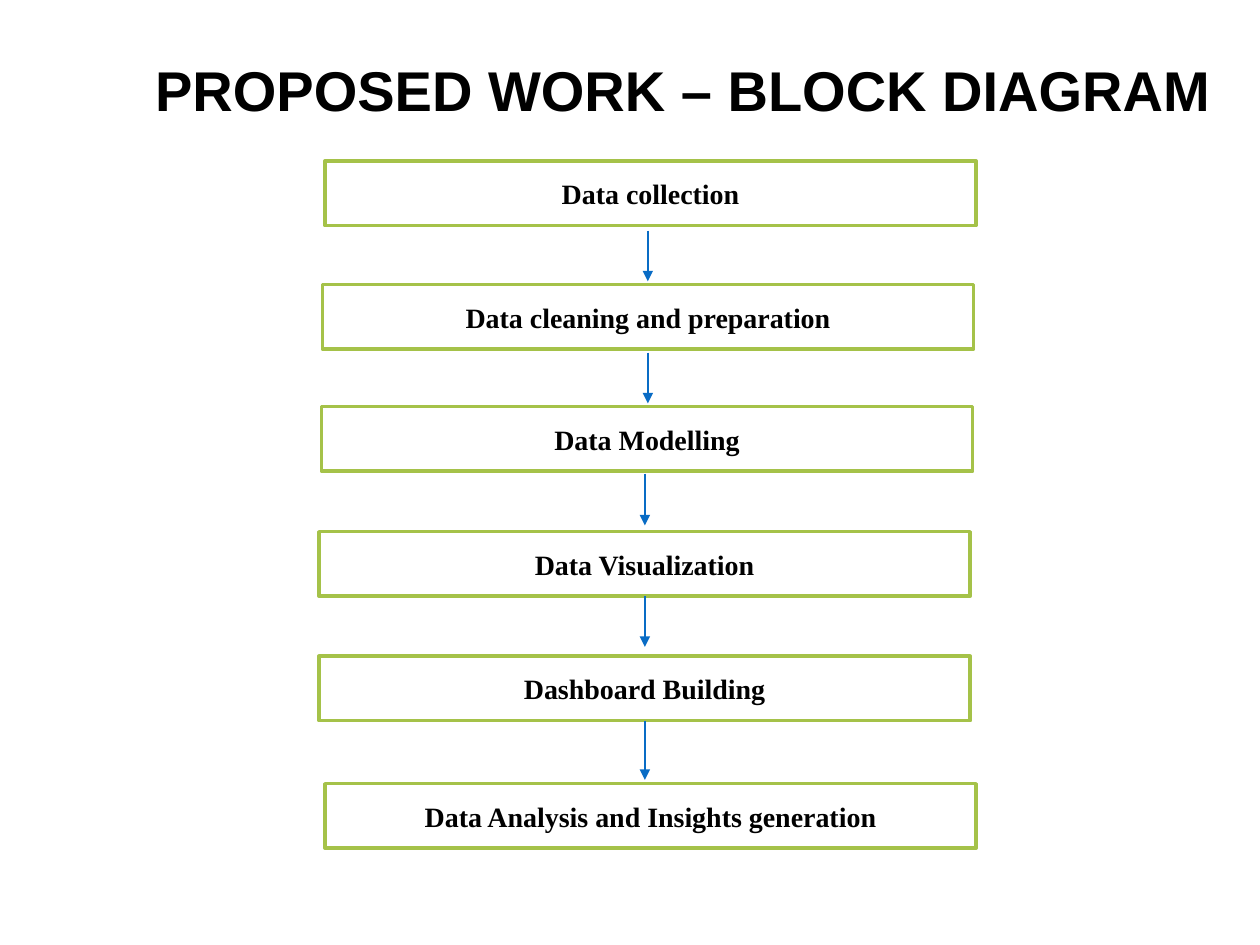
import pptx
import pptx.util
import pptx.dml.color
import pptx.enum.shapes
import pptx.enum.text
import lxml.etree
from pptx.oxml.ns import qn

Cm, Pt = pptx.util.Cm, pptx.util.Pt
ANCHOR = pptx.enum.text.MSO_ANCHOR

TITLE = "PROPOSED WORK – BLOCK DIAGRAM"
# Step text, left and top of its box, in cm
STEPS = [
    ("Data collection", 6.55, 3.25),
    ("Data cleaning and preparation", 6.5, 5.74),
    ("Data Modelling", 6.48, 8.2),
    ("Data Visualization", 6.43, 10.72),
    ("Dashboard Building", 6.43, 13.23),
    ("Data Analysis and Insights generation", 6.55, 15.8),
]
BOX_WIDTH, BOX_HEIGHT = 13.13, 1.3
# Centre, gap below the upper box and length of each arrow, in cm
ARROWS = [
    (13.06, 0.1, 1.02),
    (13.06, 0.07, 1.02),
    (13, 0.05, 1.04),
    (13, 0, 1.02),
    (13, 0, 1.19),
]
TITLE_FONT = {"name": "Arial", "size": Pt(32), "bold": True}
STEP_FONT = {"name": "Times New Roman", "size": Pt(16), "bold": True}
TITLE_FRAME = {"margin_left": 0, "margin_right": 0, "word_wrap": True,
               "auto_size": pptx.enum.text.MSO_AUTO_SIZE.NONE,
               "vertical_anchor": ANCHOR.BOTTOM}
STEP_FRAME = {"word_wrap": True, "vertical_anchor": ANCHOR.MIDDLE}


def set_all(target, values):
    for name, value in values.items():
        setattr(target, name, value)


def paint(color_format, color):
    color_format.rgb = pptx.dml.color.RGBColor.from_string(color)


def write(shape, text, frame_format, font_format):
    frame = shape.text_frame
    set_all(frame, frame_format)
    para = frame.paragraphs[0]
    para.alignment = pptx.enum.text.PP_ALIGN.CENTER
    span = para.add_run()
    span.text = text
    set_all(span.font, font_format)
    paint(span.font.color, "000000")


def set_line(line, color, width):
    line.width = Pt(width)
    paint(line.fill_color if hasattr(line, "fill_color") else line.color, color)


def add_step(page, text, left, top):
    box = page.shapes.add_shape(
        pptx.enum.shapes.MSO_SHAPE.RECTANGLE,
        Cm(left), Cm(top), Cm(BOX_WIDTH), Cm(BOX_HEIGHT))
    box.shadow.inherit = False
    box.fill.solid()
    paint(box.fill.fore_color, "FFFFFF")
    set_line(box.line, "A5C249", 2)
    write(box, text, STEP_FRAME, STEP_FONT)


def add_arrow(page, center, top, length):
    arrow = page.shapes.add_connector(
        pptx.enum.shapes.MSO_CONNECTOR.STRAIGHT,
        Cm(center), Cm(top), Cm(center), Cm(top + length))
    set_line(arrow.line, "096CC5", 0.75)
    lxml.etree.SubElement(arrow.line._get_or_add_ln(), qn("a:tailEnd"), type="triangle")
    lxml.etree.SubElement(arrow._element.spPr, qn("a:effectLst"))


def main():
    deck = pptx.Presentation()
    set_all(deck, {"slide_width": Cm(25.4), "slide_height": Cm(19.05)})
    page = deck.slides.add_slide(deck.slide_layouts[5])

    title = page.shapes.title
    set_all(title, {"left": Cm(2.34), "top": Cm(1.3),
                    "width": Cm(22.86), "height": Cm(1.3)})
    write(title, TITLE, TITLE_FRAME, TITLE_FONT)

    for step in STEPS:
        add_step(page, *step)
    for (_, _, box_top), (center, gap, length) in zip(STEPS, ARROWS):
        add_arrow(page, center, box_top + BOX_HEIGHT + gap, length)

    deck.save("out.pptx")


if __name__ == "__main__":
    main()
